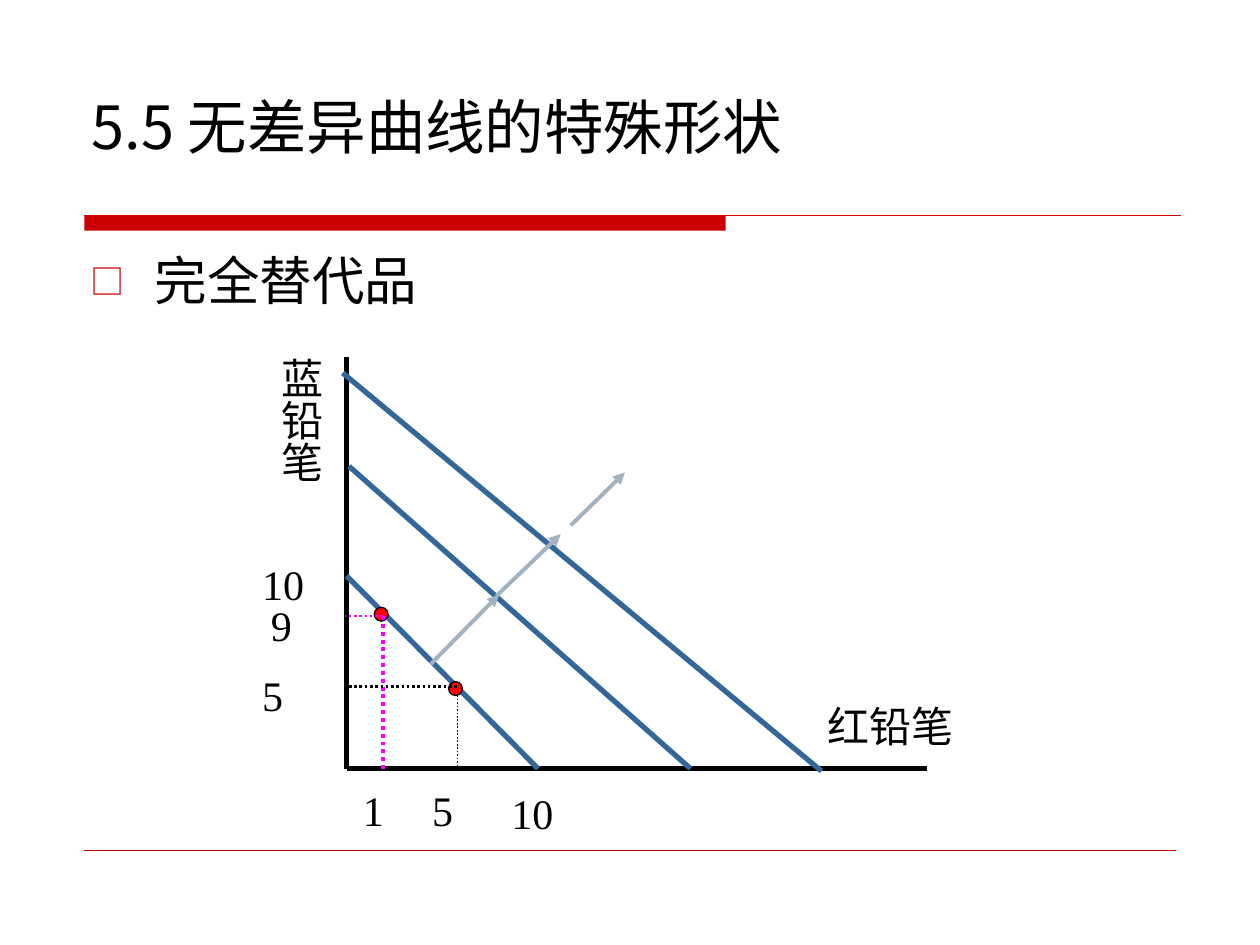
from pptx import Presentation
from pptx.dml.color import RGBColor
from pptx.enum.dml import MSO_LINE_DASH_STYLE as Dash
from pptx.enum.shapes import MSO_CONNECTOR as Connector, MSO_SHAPE as Shape
from pptx.enum.text import MSO_ANCHOR as Anchor, MSO_AUTO_SIZE as AutoSize, PP_ALIGN as Align
from pptx.oxml.ns import qn
from pptx.util import Inches, Pt
from lxml.etree import SubElement

BLACK = RGBColor(0x00, 0x00, 0x00)
CRIMSON = RGBColor(0xCC, 0x00, 0x00)
RED = RGBColor(0xFF, 0x00, 0x00)
BLUE = RGBColor(0x33, 0x66, 0x99)
GREY_BLUE = RGBColor(0xA3, 0xB2, 0xC1)
MAGENTA = RGBColor(0xFF, 0x00, 0xFF)

HEADING_FONT = "Noto Sans CJK SC"
LABEL_FONT = "Times New Roman"


class SlideBuilder:
    def __init__(self, slide):
        self.slide = slide
        self.shapes = slide.shapes

    def fill_text(self, frame, text, size, font_name, margins=(0, 0), anchor=Anchor.TOP):
        horizontal, vertical = (Inches(margin) for margin in margins)
        frame_format = {
            "word_wrap": True, "auto_size": AutoSize.NONE, "vertical_anchor": anchor,
            "margin_left": horizontal, "margin_right": horizontal,
            "margin_top": vertical, "margin_bottom": vertical,
        }
        for name, value in frame_format.items():
            setattr(frame, name, value)
        paragraph = frame.paragraphs[0]
        paragraph.alignment = Align.JUSTIFY
        paragraph.space_before = Pt(0)
        run = paragraph.add_run()
        run.text = text
        for name, value in {"size": Pt(size), "name": font_name, "bold": False}.items():
            setattr(run.font, name, value)
        run.font.color.rgb = BLACK
        east_asian = SubElement(run.font._element, qn("a:ea"))
        east_asian.set("typeface", HEADING_FONT)
        return paragraph

    def place(self, shape, left, top, width, height):
        box = {"left": left, "top": top, "width": width, "height": height}
        for name, value in box.items():
            setattr(shape, name, Inches(value))

    def title(self, text, box):
        title = self.shapes.title
        self.place(title, *box)
        self.fill_text(title.text_frame, text, 34, HEADING_FONT, (0.1, 0.05), Anchor.MIDDLE)

    def bullet(self, text, box):
        body = self.slide.placeholders[1]
        self.place(body, *box)
        paragraph = self.fill_text(body.text_frame, text, 30, HEADING_FONT, (0.1, 0.05))
        paragraph.alignment = Align.LEFT
        properties = paragraph._p.get_or_add_pPr()
        properties.set("marL", str(Inches(0.51)))
        properties.set("indent", str(-Inches(0.51)))
        color = SubElement(properties, qn("a:buClr"))
        SubElement(color, qn("a:srgbClr")).set("val", str(CRIMSON))
        SubElement(properties, qn("a:buSzPct")).set("val", "65000")
        SubElement(properties, qn("a:buFont")).set("typeface", HEADING_FONT)
        SubElement(properties, qn("a:buChar")).set("char", "□")

    def label(self, text, left, top, width, height, vertical=False):
        box = self.shapes.add_textbox(*map(Inches, (left, top, width, height)))
        self.fill_text(box.text_frame, text, 24, LABEL_FONT)
        if vertical:
            box.text_frame._txBody.bodyPr.set("vert", "eaVert")

    def line(self, start, end, color, width, dash=None, arrow=False):
        connector = self.shapes.add_connector(
            Connector.STRAIGHT, *map(Inches, (*start, *end)))
        connector.line.color.rgb = color
        connector.line.width = Pt(width)
        if dash:
            connector.line.dash_style = dash
        if arrow:
            SubElement(connector.line._get_or_add_ln(), qn("a:tailEnd")).set("type", "triangle")
        SubElement(connector._element.spPr, qn("a:effectLst"))

    def filled(self, kind, box, fill, outline=None):
        shape = self.shapes.add_shape(kind, *map(Inches, box))
        shape.shadow.inherit = False
        shape.fill.solid()
        shape.fill.fore_color.rgb = fill
        if outline is None:
            shape.line.fill.background()
        else:
            shape.line.color.rgb = outline
            shape.line.width = Pt(0.75)


def main():
    presentation = Presentation()
    presentation.slide_width, presentation.slide_height = Inches(10), Inches(7.5)
    builder = SlideBuilder(presentation.slides.add_slide(presentation.slide_layouts[1]))

    builder.filled(Shape.RECTANGLE, (0.67, 1.71, 5.09, 0.12), CRIMSON)
    builder.line((0.67, 1.71), (9.37, 1.71), CRIMSON, 0.75)
    builder.line((0.67, 6.75), (9.33, 6.75), CRIMSON, 0.25)
    builder.title("5.5 无差异曲线的特殊形状", (0.63, 0.33, 8.75, 1.33))
    builder.bullet("完全替代品", (0.62, 1.92, 8.75, 4.67))

    origin = (2.75, 6.1)
    for axis_end in ((2.75, 2.83), (7.36, 6.1)):
        builder.line(axis_end, origin, BLACK, 3)

    indifference_curves = (
        ((2.75, 4.57), (4.27, 6.1)),
        ((2.72, 2.96), (6.52, 6.12)),
        ((2.77, 3.7), (5.48, 6.1)),
    )
    for start, end in indifference_curves:
        builder.line(start, end, BLUE, 3)

    preference_arrows = (
        ((4.53, 4.17), (4.96, 3.75)),
        ((3.42, 5.27), (3.96, 4.72)),
        ((3.94, 4.73), (4.45, 4.24)),
    )
    for start, end in preference_arrows:
        builder.line(start, end, GREY_BLUE, 2.25, arrow=True)

    for left, top in ((2.97, 4.82), (3.56, 5.41)):
        builder.filled(Shape.OVAL, (left, top, 0.11, 0.11), RED, BLACK)

    guides = (
        ((3.04, 4.89), (3.04, 6.1), MAGENTA, 2.25),
        ((3.04, 4.89), (2.74, 4.89), MAGENTA, 1.5),
        ((2.77, 5.45), (3.63, 5.45), BLACK, 1.5),
        ((3.63, 5.49), (3.63, 6.08), BLACK, 1),
    )
    for start, end, color, width in guides:
        builder.line(start, end, color, width, dash=Dash.ROUND_DOT)

    builder.label("蓝铅笔", 2.11, 2.84, 0.48, 1.14, vertical=True)
    labels = (
        ("红铅笔", 6.57, 5.56, 1.07, 0.42),
        ("10", 2.08, 4.43, 0.5, 0.42),
        ("9", 2.15, 4.76, 0.5, 0.42),
        ("5", 2.08, 5.31, 0.44, 0.42),
        ("1", 2.88, 6.23, 0.3, 0.34),
        ("5", 3.43, 6.23, 0.39, 0.36),
        ("10", 4.06, 6.25, 0.5, 0.42),
    )
    for label in labels:
        builder.label(*label)

    presentation.save("out.pptx")


if __name__ == "__main__":
    main()
